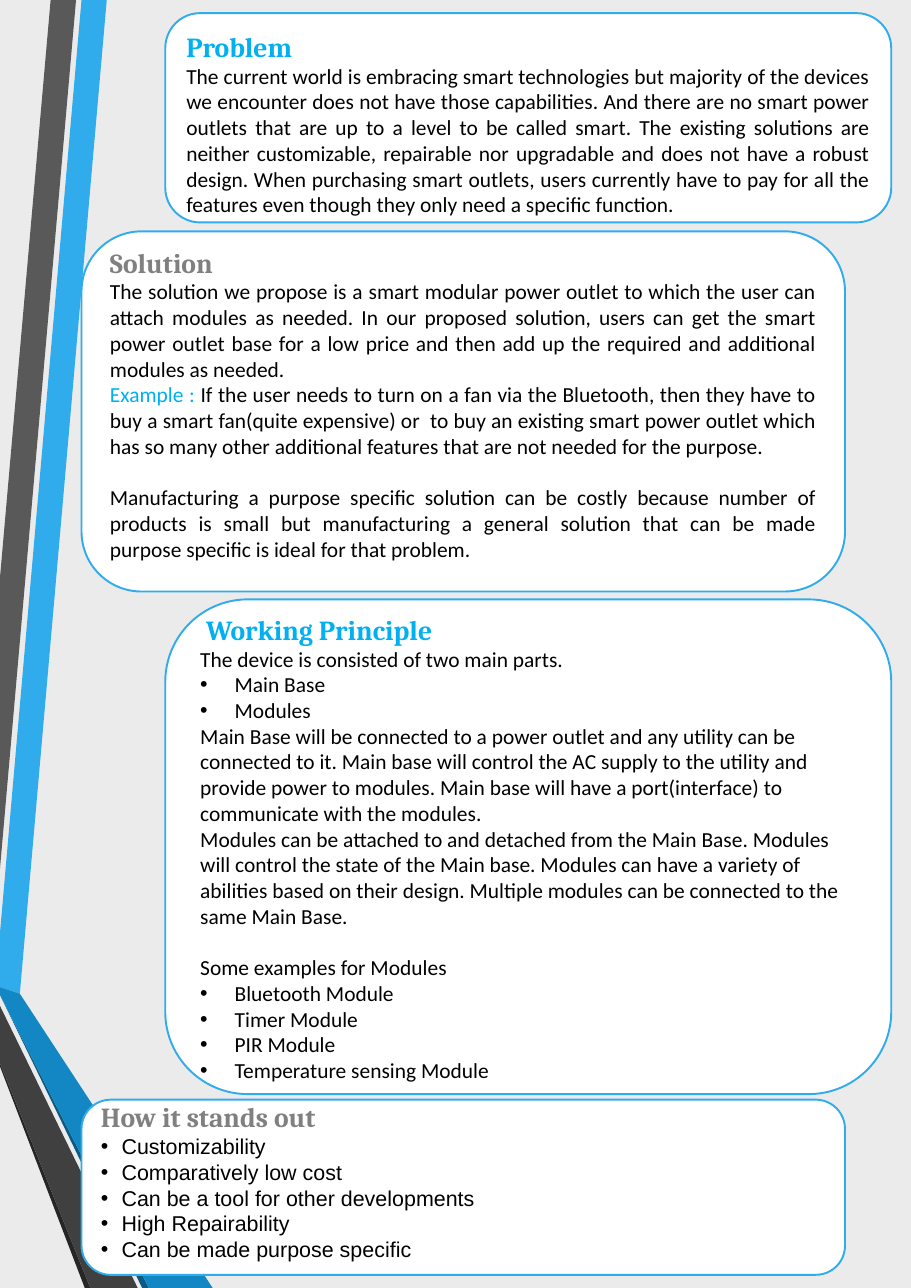
from dataclasses import dataclass

import lxml.etree
import pptx
import pptx.dml.color
import pptx.enum.shapes
import pptx.enum.text
import pptx.oxml.ns
import pptx.util

Pt = pptx.util.Pt
ALIGN = pptx.enum.text.PP_ALIGN


@dataclass(frozen=True)
class Theme:
    background: str = "EBEBEB"
    card: str = "FFFFFF"
    outline: str = "30ACEC"
    accent: str = "00B0F0"
    muted: str = "808080"
    text: str = "000000"
    heading_font: str = "Cambria"
    body_font: str = "Calibri"
    list_font: str = "Arial"
    heading_size: float = 18
    body_size: float = 14
    line_pitch: float = 16.8
    outline_width: float = 1.25


@dataclass(frozen=True)
class Line:
    """A body paragraph; lead is coloured text placed before it."""
    text: str
    lead: str = ""
    bullet: bool = False
    gap: float = 0


SLIDE_WIDTH, SLIDE_HEIGHT = 595.4, 841.7

# Fill colour and corner points of each ribbon, back to front
RIBBONS = [
    ("30ACEC", [(0, 609.8), (0, 645.1), (13, 649.4), (69.8, 0), (53.3, 0)]),
    ("595959", [(49.7, 0), (33.1, 0), (0, 377.3), (0, 567.4)]),
    ("262626", [(0, 694.8), (0, 697), (55.4, SLIDE_HEIGHT), (59, SLIDE_HEIGHT)]),
    ("0C5A82", [(0, 650.2), (92.9, SLIDE_HEIGHT), (97.2, SLIDE_HEIGHT)]),
    ("1287C3", [(0, 650.2), (97.2, SLIDE_HEIGHT), (139, SLIDE_HEIGHT),
                (13, 649.4), (0, 645.1)]),
    ("404040", [(0, 694.8), (59, SLIDE_HEIGHT), (90, SLIDE_HEIGHT), (0, 657.4)]),
]

RIGHT_CARD = (108, 474.5)
LEFT_CARD = (53.3, 499)

PROBLEM = [Line(
    "The current world is embracing smart technologies but majority of the devices we "
    "encounter does not have those capabilities. And there are no smart power outlets that "
    "are up to a level to be called smart. The existing solutions are neither customizable, "
    "repairable nor upgradable and does not have a robust design. When purchasing smart "
    "outlets, users currently have to pay for all the features even though they only "
    "need a specific function.")]

SOLUTION = [
    Line("The solution we propose is a smart modular power outlet to which the user can "
         "attach modules as needed. In our proposed solution, users can get the smart power "
         "outlet base for a low price and then add up the required and additional modules "
         "as needed."),
    Line(" If the user needs to turn on a fan via the Bluetooth, then they have to buy a "
         "smart fan(quite expensive) or  to buy an existing smart power outlet which has so "
         "many other additional features that are not needed for the purpose.",
         lead="Example :"),
    Line("Manufacturing a purpose specific solution can be costly because number of products "
         "is small but manufacturing a general solution that can be made purpose specific is "
         "ideal for that problem.", gap=Theme.line_pitch),
]

WORKING_PRINCIPLE = [
    Line("The device is consisted of two main parts."),
    *[Line(part, bullet=True) for part in ("Main Base", "Modules")],
    Line("Main Base will be connected to a power outlet and any utility can be connected to "
         "it. Main base will control the AC supply to the utility and provide power to "
         "modules. Main base will have a port(interface) to communicate with the modules."),
    Line("Modules can be attached to and detached from the Main Base. Modules will control "
         "the state of the Main base. Modules can have a variety of abilities based on their "
         "design. Multiple modules can be connected to the same Main Base."),
    Line("Some examples for Modules", gap=Theme.line_pitch),
    *[Line(f"{name} Module", bullet=True)
      for name in ("Bluetooth", "Timer", "PIR", "Temperature sensing")],
]

STRENGTHS = [Line(strength, bullet=True) for strength in (
    "Customizability", "Comparatively low cost", "Can be a tool for other developments",
    "High Repairability", "Can be made purpose specific")]


def rgb(value):
    return pptx.dml.color.RGBColor.from_string(value)


class Poster:
    def __init__(self, slide, theme):
        self.slide = slide
        self.theme = theme
        fill = slide.background.fill
        fill.solid()
        fill.fore_color.rgb = rgb(theme.background)

    def fill(self, shape, color):
        shape.shadow.inherit = False
        shape.fill.solid()
        shape.fill.fore_color.rgb = rgb(color)

    def ribbon(self, color, points):
        corners = [(Pt(x), Pt(y)) for x, y in points]
        builder = self.slide.shapes.build_freeform(*corners[0])
        builder.add_line_segments(corners[1:], close=True)
        shape = builder.convert_to_shape()
        self.fill(shape, color)
        shape.line.fill.background()

    def card(self, column, top, height, heading, color, lines, align=ALIGN.JUSTIFY,
             font=None, indent=0, margin_top=0, margin_bottom=0):
        left, width = column
        shape = self.slide.shapes.add_shape(
            pptx.enum.shapes.MSO_SHAPE.ROUNDED_RECTANGLE,
            Pt(left), Pt(top), Pt(width), Pt(height))
        self.fill(shape, self.theme.card)
        shape.line.color.rgb = rgb(self.theme.outline)
        shape.line.width = Pt(self.theme.outline_width)
        frame = shape.text_frame
        frame.word_wrap = True
        frame.vertical_anchor = pptx.enum.text.MSO_ANCHOR.MIDDLE
        frame.margin_top, frame.margin_bottom = Pt(margin_top), Pt(margin_bottom)
        frame.text = heading
        title = frame.paragraphs[0]
        title.alignment = align
        self.style(title.runs[0], self.theme.heading_font, self.theme.heading_size, color, True)
        for line in lines:
            self.body(frame.add_paragraph(), line, align, font or self.theme.body_font, indent)

    def body(self, paragraph, line, align, font, indent):
        theme = self.theme
        paragraph.alignment = align
        paragraph.line_spacing = Pt(theme.line_pitch)
        paragraph.space_before = Pt(line.gap)
        if line.bullet:
            self.bullet(paragraph, indent)
        paragraph.text = line.lead or line.text
        self.style(paragraph.runs[0], font, theme.body_size,
                   theme.accent if line.lead else theme.text)
        if line.lead:
            run = paragraph.add_run()
            run.text = line.text
            self.style(run, font, theme.body_size, theme.text)

    def bullet(self, paragraph, indent):
        properties = paragraph._p.get_or_add_pPr()
        properties.set("marL", str(Pt(indent)))
        properties.set("indent", str(-Pt(indent)))
        for tag, name, value in (("a:buFont", "typeface", "Arial"), ("a:buChar", "char", "•")):
            element = lxml.etree.SubElement(properties, pptx.oxml.ns.qn(tag))
            element.set(name, value)

    def style(self, run, font, size, color, bold=False):
        run.font.name = font
        run.font.size = Pt(size)
        run.font.bold = bold
        run.font.color.rgb = rgb(color)


def main():
    presentation = pptx.Presentation()
    presentation.slide_width, presentation.slide_height = Pt(SLIDE_WIDTH), Pt(SLIDE_HEIGHT)
    blank_layout = presentation.slide_layouts[6]
    theme = Theme()
    poster = Poster(presentation.slides.add_slide(blank_layout), theme)
    for color, points in RIBBONS:
        poster.ribbon(color, points)
    poster.card(RIGHT_CARD, 8.6, 136.8, "Problem", theme.accent, PROBLEM, margin_top=7.3)
    poster.card(LEFT_CARD, 151.2, 235.4, "Solution", theme.muted, SOLUTION,
                margin_bottom=10.4)
    poster.card(RIGHT_CARD, 391.7, 323.3, " Working Principle", theme.accent,
                WORKING_PRINCIPLE, align=ALIGN.LEFT, indent=22.5, margin_top=1.4)
    poster.card(LEFT_CARD, 718.6, 114.5, "How it stands out", theme.muted, STRENGTHS,
                font=theme.list_font, indent=13.5, margin_bottom=8)
    presentation.save("out.pptx")


if __name__ == "__main__":
    main()
